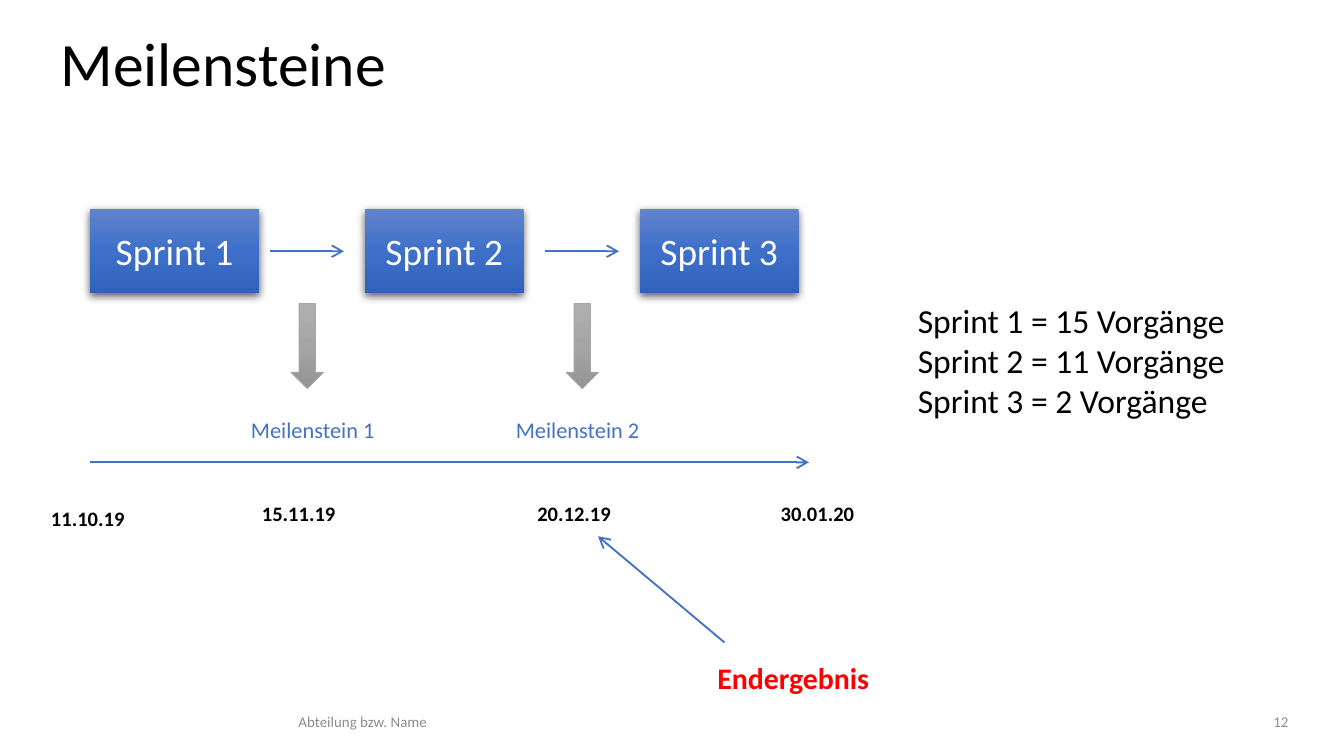
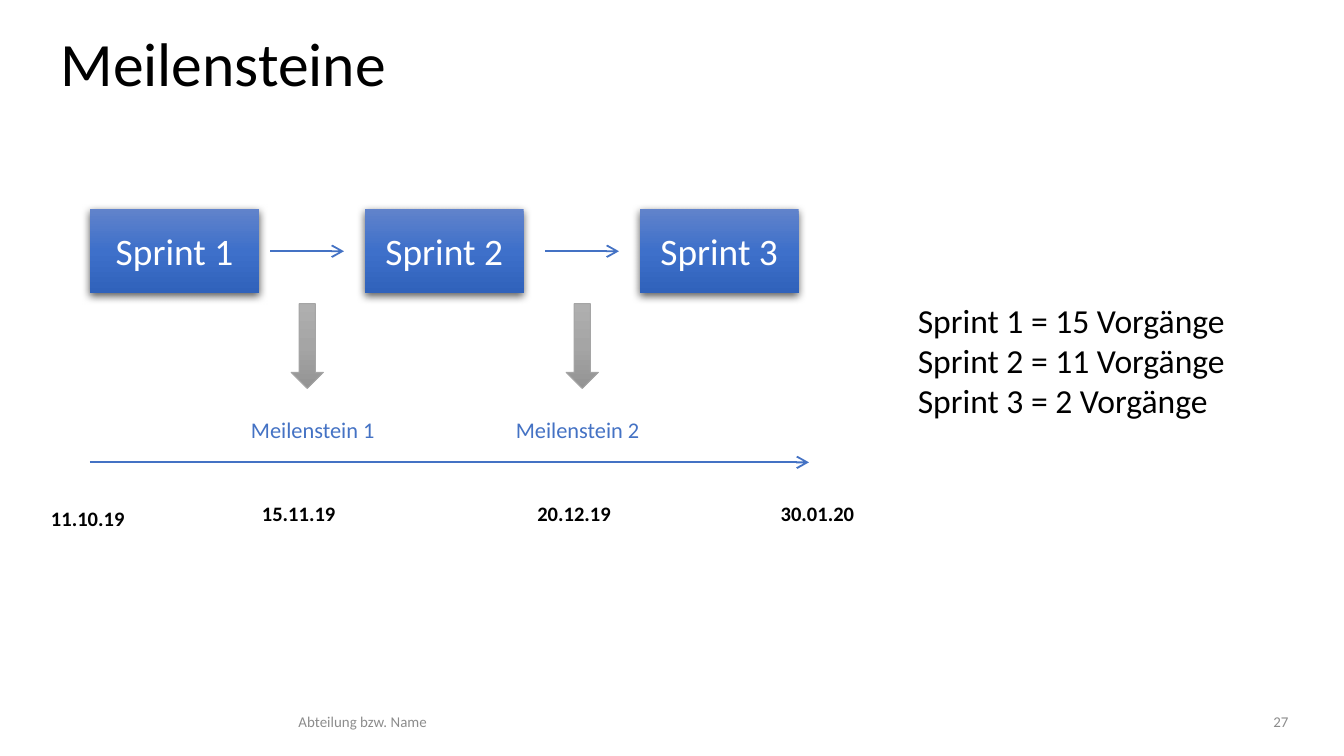
from lxml.etree import SubElement
from pptx import Presentation
from pptx.dml.color import RGBColor
from pptx.enum.shapes import MSO_CONNECTOR, MSO_SHAPE
from pptx.enum.text import MSO_ANCHOR, MSO_AUTO_SIZE, PP_ALIGN
from pptx.oxml.ns import qn
from pptx.util import Pt

COLORS = {
    "text": "000000",
    "box text": "FFFFFF",
    "footer": "8C8C8C",
    "accent": "4472C4",
    "result": "FF0000",
    "arrow edge": "A5A5A5",
}
SPRINT_GRADIENT = ["6183CB", "3E70CA", "3062BB"]
ARROW_GRADIENT = ["AFAFAF", "A5A5A5", "939393"]
STEP = 147.3

TITLE = {"size": Pt(33)}
FOOTER = {"size": Pt(8)}
SUMMARY = {"size": Pt(18)}
SPRINT = {"size": Pt(20)}
MILESTONE = {"size": Pt(12)}
DATE = {"size": Pt(11), "bold": True}
RESULT = {"size": Pt(16), "bold": True}

footer_frame = {"vertical_anchor": MSO_ANCHOR.MIDDLE, "margin_left": 0, "margin_right": 0}


def write(shape, lines, font_format, color, align=PP_ALIGN.LEFT, **frame_format):
    """Fill a shape with one paragraph per line and format them all alike."""
    frame = shape.text_frame
    frame.text = "\n".join(lines)
    frame.word_wrap = True
    frame.auto_size = MSO_AUTO_SIZE.NONE
    for attribute, value in frame_format.items():
        setattr(frame, attribute, value)
    for paragraph in frame.paragraphs:
        paragraph.alignment = align
        font = paragraph.runs[0].font
        font.name = "Calibri"
        font.color.rgb = RGBColor.from_string(COLORS[color])
        for attribute, value in font_format.items():
            setattr(font, attribute, value)


def fill_downwards(shape, hex_colors):
    """Give a shape a top-to-bottom gradient with evenly spaced stops."""
    shape.fill.gradient()
    shape.fill.gradient_angle = 270
    stops = shape.element.spPr.find(qn("a:gradFill")).find(qn("a:gsLst"))
    for stop in list(stops):
        stops.remove(stop)
    for i, hex_color in enumerate(hex_colors):
        position = 100000 * i // (len(hex_colors) - 1)
        stop = SubElement(stops, qn("a:gs"), pos=str(position))
        SubElement(stop, qn("a:srgbClr"), val=hex_color)


presentation = Presentation()
presentation.slide_width, presentation.slide_height = Pt(720), Pt(405)

for page, has_result in (("12", True), ("27", False)):
    slide = presentation.slides.add_slide(presentation.slide_layouts[5])
    shapes = slide.shapes

    title = shapes.title
    title.left, title.top, title.width, title.height = Pt(25.2), Pt(13), Pt(666), Pt(45.4)
    write(title, ["Meilensteine"], TITLE, "text", vertical_anchor=MSO_ANCHOR.MIDDLE)
    title.text_frame.paragraphs[0].line_spacing = 0.9

    department = shapes.add_textbox(Pt(32.4), Pt(379.4), Pt(324), Pt(14.4))
    write(department, ["Abteilung bzw. Name"], FOOTER, "footer", PP_ALIGN.CENTER, **footer_frame)
    page_number = shapes.add_textbox(Pt(469.4), Pt(379.4), Pt(221), Pt(14.4))
    write(page_number, [page], FOOTER, "footer", PP_ALIGN.RIGHT, **footer_frame)

    summary = shapes.add_textbox(Pt(484.6), Pt(157), Pt(215.3), Pt(72.7))
    tasks = [15, 11, 2]
    write(summary, [f"Sprint {n} = {count} Vorgänge" for n, count in enumerate(tasks, 1)],
          SUMMARY, "text")

    for i, width in enumerate([90.7, 85, 85]):
        sprint = shapes.add_shape(MSO_SHAPE.RECTANGLE, Pt(48.2 + i * STEP), Pt(111.8),
                                  Pt(width), Pt(45.2))
        fill_downwards(sprint, SPRINT_GRADIENT)
        sprint.line.fill.background()
        sprint.shadow.inherit = False
        effects = sprint.element.spPr.find(qn("a:effectLst"))
        shadow = SubElement(effects, qn("a:outerShdw"), blurRad=str(Pt(4.5)), dist=str(Pt(1.5)),
                            dir="5400000", algn="ctr", rotWithShape="0")
        shade = SubElement(shadow, qn("a:srgbClr"), val="000000")
        SubElement(shade, qn("a:alpha"), val="63000")
        write(sprint, [f"Sprint {i + 1}"], SPRINT, "box text", PP_ALIGN.CENTER,
              vertical_anchor=MSO_ANCHOR.MIDDLE)

    for i, milestone_left in enumerate([127.4, 269.3]):
        down_arrow = shapes.add_shape(MSO_SHAPE.DOWN_ARROW, Pt(156 + i * STEP), Pt(162.7),
                                      Pt(17.3), Pt(45.4))
        fill_downwards(down_arrow, ARROW_GRADIENT)
        down_arrow.line.color.rgb = RGBColor.from_string(COLORS["arrow edge"])
        down_arrow.line.width = Pt(0.5)
        down_arrow.shadow.inherit = False
        milestone = shapes.add_textbox(Pt(milestone_left), Pt(219.6), Pt(90.7), Pt(21.6))
        write(milestone, [f"Meilenstein {i + 1}"], MILESTONE, "accent")

    for day, left, top, width, height, anchor in (
        ("11.10.19", 20.2, 259.2, 56.9, 28.8, MSO_ANCHOR.BOTTOM),
        ("15.11.19", 133.2, 265, 56.9, 20.9, MSO_ANCHOR.TOP),
        ("20.12.19", 280.8, 265, 62.6, 20.9, MSO_ANCHOR.TOP),
        ("30.01.20", 411.1, 265, 56.9, 20.9, MSO_ANCHOR.TOP),
    ):
        date = shapes.add_textbox(Pt(left), Pt(top), Pt(width), Pt(height))
        write(date, [day], DATE, "text", vertical_anchor=anchor)

    arrows = [(144.7 + i * STEP, 134.6, 184.3 + i * STEP, 134.6) for i in range(2)]
    arrows.append((48.2, 247.7, 433.4, 247.7))
    if has_result:
        result = shapes.add_textbox(Pt(377.3), Pt(350), Pt(96.5), Pt(26.6))
        write(result, ["Endergebnis"], RESULT, "result")
        arrows.append((388.1, 344.2, 320.4, 287.3))

    for ends in arrows:
        arrow = shapes.add_connector(MSO_CONNECTOR.STRAIGHT, *(Pt(value) for value in ends))
        arrow.line.color.rgb = RGBColor.from_string(COLORS["accent"])
        arrow.line.width = Pt(1)
        properties = arrow.element.spPr
        SubElement(properties.find(qn("a:ln")), qn("a:tailEnd"), type="arrow")
        SubElement(properties, qn("a:effectLst"))

presentation.save("out.pptx")
